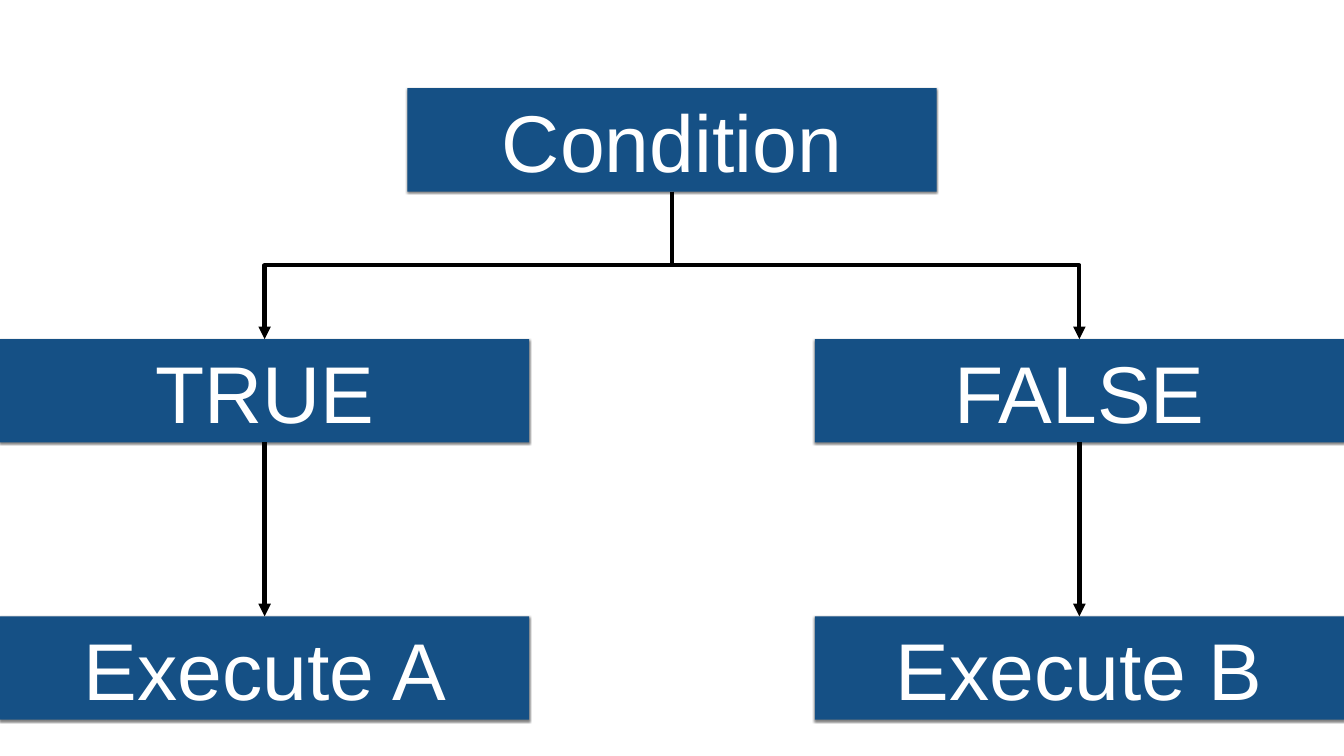
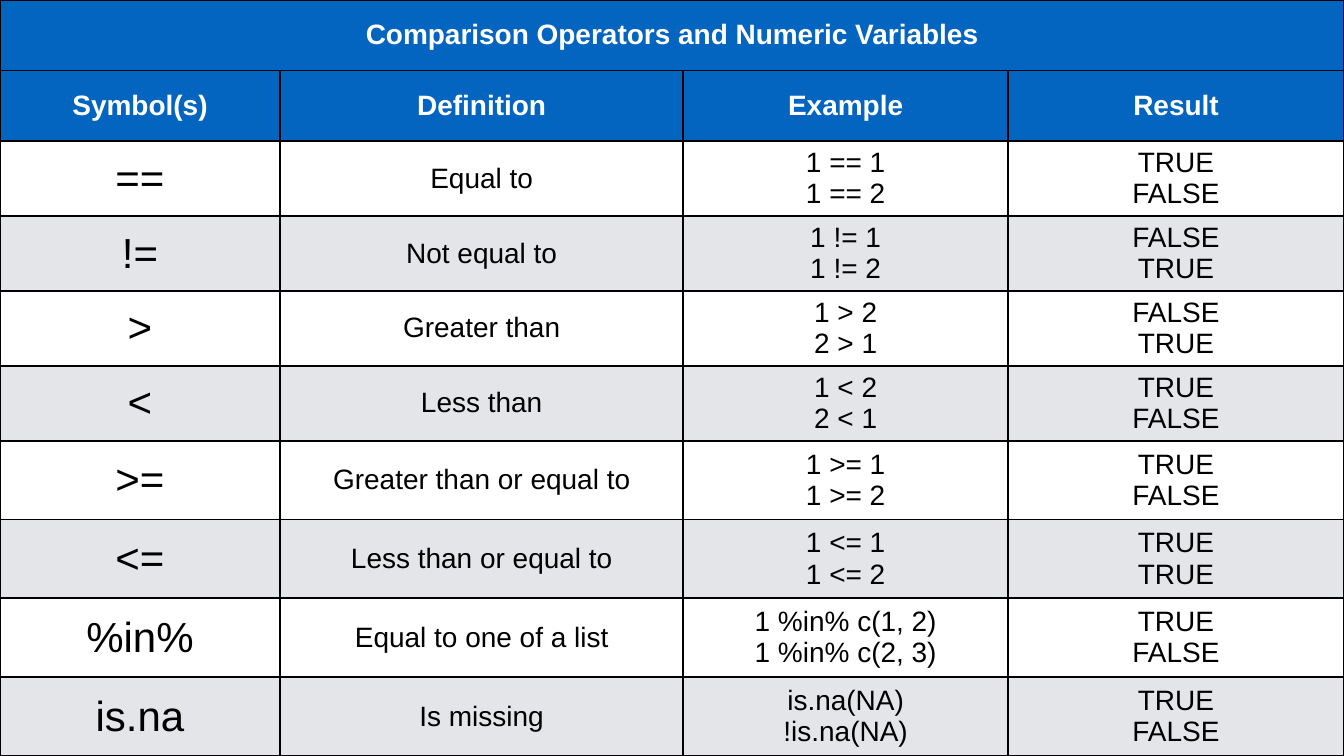
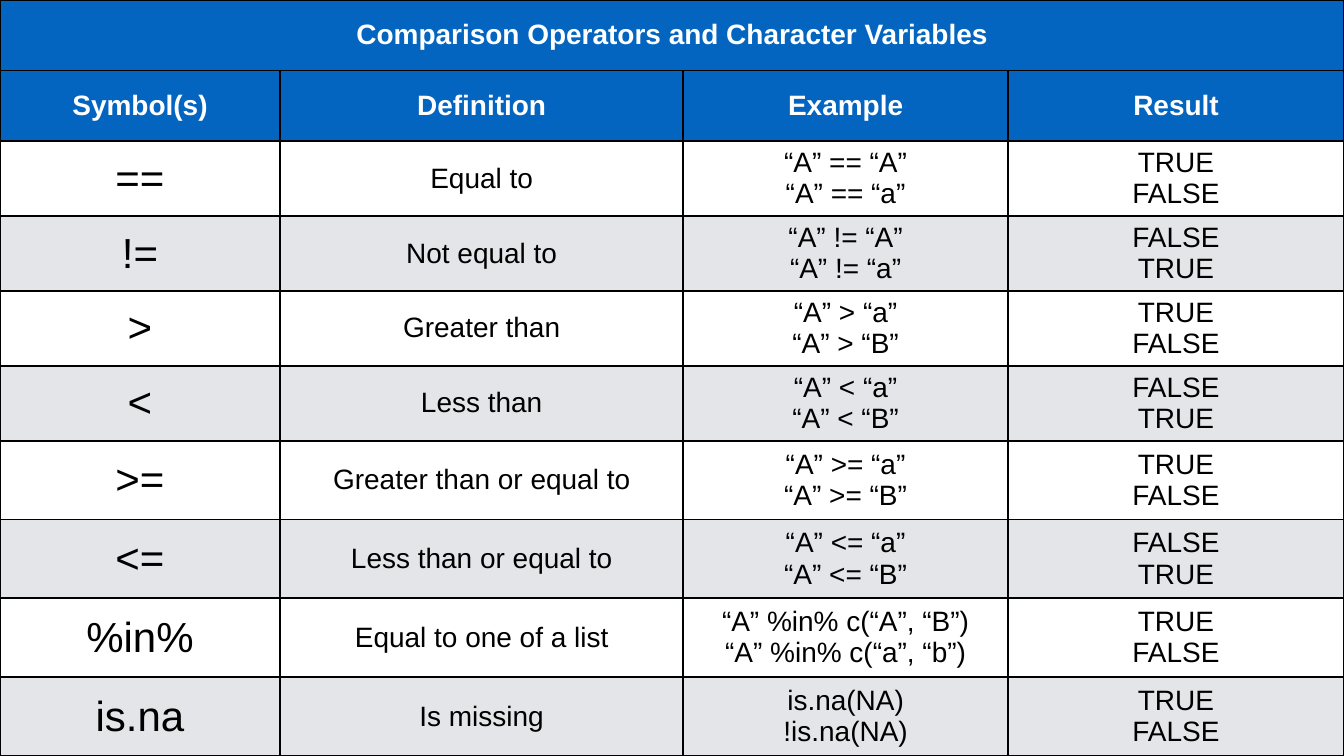
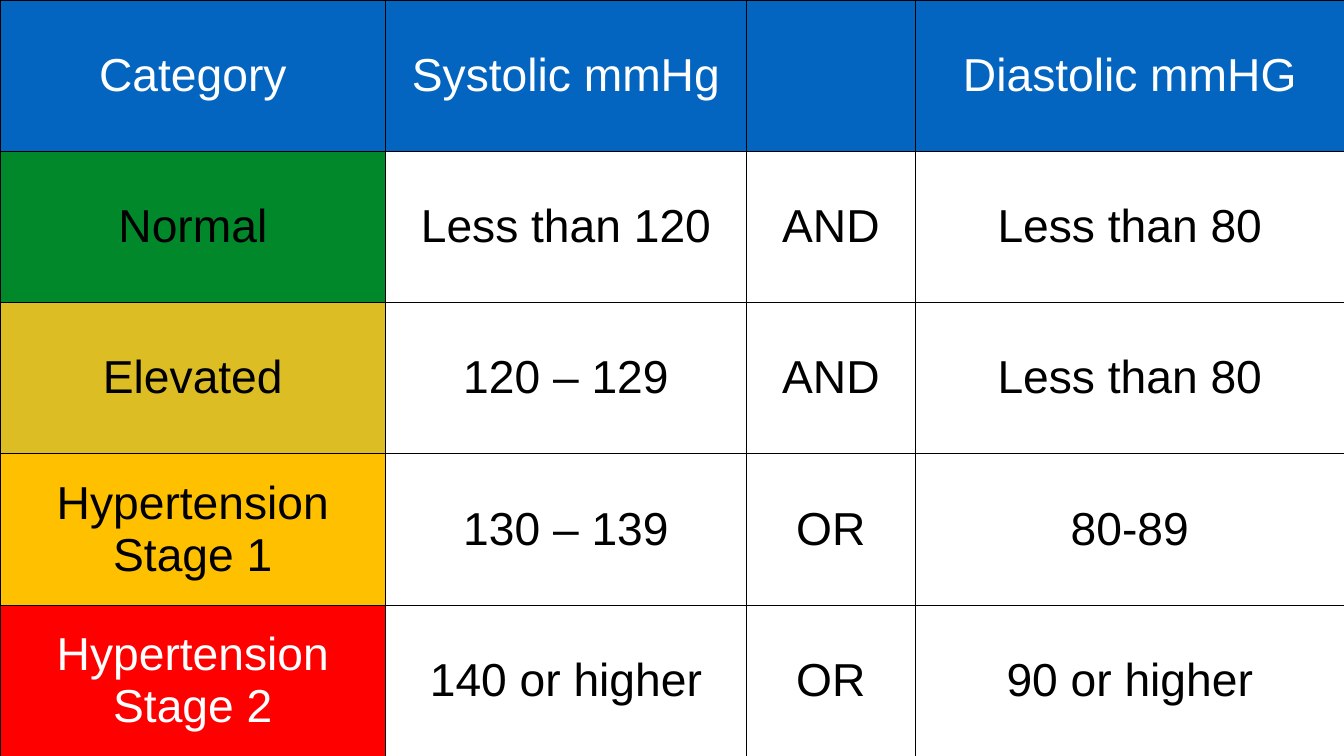
"""Build four slides on conditions, comparison operators and blood pressure categories."""
from lxml import etree
from pptx import Presentation
from pptx.dml.color import RGBColor
from pptx.enum import shapes, text
from pptx.oxml import ns
from pptx.util import Pt

FONT = "Arial"
BLACK = RGBColor(0x00, 0x00, 0x00)
WHITE = RGBColor(0xFF, 0xFF, 0xFF)
NAVY = RGBColor(0x15, 0x50, 0x85)
BLUE = RGBColor(0x03, 0x65, 0xC0)
GREY = RGBColor(0xE3, 0xE5, 0xE8)
GREEN = RGBColor(0x00, 0x88, 0x2B)
YELLOW = RGBColor(0xDC, 0xBD, 0x23)
AMBER = RGBColor(0xFF, 0xC0, 0x00)
RED = RGBColor(0xFF, 0x00, 0x00)

SLIDE_WIDTH, SLIDE_HEIGHT = 1920, 1080
BOX_WIDTH, BOX_HEIGHT = 756, 147.6
LEFT_CENTER, MIDDLE, RIGHT_CENTER = BOX_WIDTH / 2, SLIDE_WIDTH / 2, SLIDE_WIDTH - BOX_WIDTH / 2
CONDITION_TOP, OUTCOME_TOP, ACTION_TOP = 126, 484.5, 880.5
TIGHT_MARGIN = 4

FLOW_BOXES = [
    ("Condition", MIDDLE, CONDITION_TOP),
    ("TRUE", LEFT_CENTER, OUTCOME_TOP),
    ("FALSE", RIGHT_CENTER, OUTCOME_TOP),
    ("Execute A", LEFT_CENTER, ACTION_TOP),
    ("Execute B", RIGHT_CENTER, ACTION_TOP),
]

OPERATOR_HEADINGS = ("Symbol(s)", "Definition", "Example", "Result")
OPERATORS = [
    ("==", "Equal to"),
    ("!=", "Not equal to"),
    (">", "Greater than"),
    ("<", "Less than"),
    (">=", "Greater than or equal to"),
    ("<=", "Less than or equal to"),
    ("%in%", "Equal to one of a list"),
    ("is.na", "Is missing"),
]
OPERATOR_COLUMNS = (400, 576, 464, 480)
OPERATOR_ROWS = (100.8,) * 2 + (107,) * 4 + (112.6,) * 4
TRUE_FALSE, FALSE_TRUE, TRUE_TRUE = "TRUE\nFALSE", "FALSE\nTRUE", "TRUE\nTRUE"

NUMERIC_EXAMPLES = [
    ("1 == 1\n1 == 2", TRUE_FALSE),
    ("1 != 1\n1 != 2", FALSE_TRUE),
    ("1 > 2\n2 > 1", FALSE_TRUE),
    ("1 < 2\n2 < 1", TRUE_FALSE),
    ("1 >= 1\n1 >= 2", TRUE_FALSE),
    ("1 <= 1\n1 <= 2", TRUE_TRUE),
    ("1 %in% c(1, 2)\n1 %in% c(2, 3)", TRUE_FALSE),
    ("is.na(NA)\n!is.na(NA)", TRUE_FALSE),
]
CHARACTER_EXAMPLES = [
    ("“A” == “A”\n“A” == “a”", TRUE_FALSE),
    ("“A” != “A”\n“A” != “a”", FALSE_TRUE),
    ("“A” > “a”\n“A” > “B”", TRUE_FALSE),
    ("“A” < “a”\n“A” < “B”", FALSE_TRUE),
    ("“A” >= “a”\n“A” >= “B”", TRUE_FALSE),
    ("“A” <= “a”\n“A” <= “B”", FALSE_TRUE),
    ("“A” %in% c(“A”, “B”)\n“A” %in% c(“a”, “b”)", TRUE_FALSE),
    ("is.na(NA)\n!is.na(NA)", TRUE_FALSE),
]

PRESSURE_HEADINGS = ("Category", "Systolic mmHg", "", "Diastolic mmHG")
PRESSURE_LEVELS = [
    ("Normal", "Less than 120", "AND", "Less than 80"),
    ("Elevated", "120 – 129", "AND", "Less than 80"),
    ("Hypertension Stage 1", "130 – 139", "OR", "80-89"),
    ("Hypertension Stage 2", "140 or higher", "OR", "90 or higher"),
]
LEVEL_STYLES = [(GREEN, BLACK), (YELLOW, BLACK), (AMBER, BLACK), (RED, WHITE)]
PRESSURE_COLUMNS = (551, 515, 242, 612)
PRESSURE_ROWS = (SLIDE_HEIGHT / 5,) * 5


def child(parent, tag, **attributes):
    """Append a drawing element with the given attributes."""
    element = etree.SubElement(parent, ns.qn(tag))
    for name, value in attributes.items():
        element.set(name, str(value))
    return element


def write(frame, content, size, color, bold=False):
    """Fill a text frame with centred paragraphs in one style."""
    frame.text = content
    for paragraph in frame.paragraphs:
        paragraph.alignment = text.PP_ALIGN.CENTER
        for run in paragraph.runs:
            run.font.name, run.font.size, run.font.bold = FONT, Pt(size), bold
            run.font.color.rgb = color


def add_box(slide, label, center, top):
    """Add a shadowed flow box."""
    box = slide.shapes.add_shape(shapes.MSO_SHAPE.RECTANGLE, Pt(center - BOX_WIDTH / 2), Pt(top),
                                 Pt(BOX_WIDTH), Pt(BOX_HEIGHT))
    box.fill.solid()
    box.fill.fore_color.rgb = NAVY
    box.line.fill.background()
    box.shadow.inherit = False
    effects = box.element.spPr.find(ns.qn("a:effectLst"))
    shadow = child(effects, "a:outerShdw", blurRad=Pt(3), dist=Pt(2), dir=90 * 60000, rotWithShape=0)
    child(child(shadow, "a:srgbClr", val=BLACK), "a:alpha", val=50000)
    frame = box.text_frame
    frame.word_wrap = True
    frame.auto_size = text.MSO_AUTO_SIZE.SHAPE_TO_FIT_TEXT
    frame.vertical_anchor = text.MSO_ANCHOR.MIDDLE
    frame.margin_left = frame.margin_right = frame.margin_top = frame.margin_bottom = Pt(TIGHT_MARGIN)
    write(frame, label, 115, WHITE)


def add_arrow(slide, kind, start, end):
    """Add a black connector with an arrowhead at its end."""
    arrow = slide.shapes.add_connector(kind, *(Pt(value) for value in start + end))
    arrow.line.color.rgb = BLACK
    arrow.line.width = Pt(6)
    child(arrow.line._get_or_add_ln(), "a:tailEnd", type="triangle")
    child(arrow.element.spPr, "a:effectLst")
    return arrow


def add_branch(slide, start, end):
    """Add an elbow arrow that leaves downwards, as a turned horizontal elbow."""
    center_x, center_y = (start[0] + end[0]) / 2, (start[1] + end[1]) / 2
    half_run, half_drop = abs(end[0] - start[0]) / 2, (end[1] - start[1]) / 2
    side = 1 if end[0] > start[0] else -1
    arrow = add_arrow(slide, shapes.MSO_CONNECTOR.ELBOW,
                      (center_x + side * half_drop, center_y - half_run),
                      (center_x - side * half_drop, center_y + half_run))
    turn = 270 if side > 0 else 90
    arrow.element.spPr.find(ns.qn("a:xfrm")).set("rot", str(turn * 60000))


def add_flow(slide):
    """Draw the condition flow."""
    for label, center, top in FLOW_BOXES:
        add_box(slide, label, center, top)
    for center in (LEFT_CENTER, RIGHT_CENTER):
        add_branch(slide, (MIDDLE, CONDITION_TOP + BOX_HEIGHT), (center, OUTCOME_TOP))
    for center in (LEFT_CENTER, RIGHT_CENTER):
        add_arrow(slide, shapes.MSO_CONNECTOR.STRAIGHT, (center, OUTCOME_TOP + BOX_HEIGHT), (center, ACTION_TOP))


def add_grid(slide, columns, rows, border):
    """Add a full-slide table without style bands and with black borders."""
    table = slide.shapes.add_table(len(rows), len(columns), 0, 0, Pt(SLIDE_WIDTH), Pt(SLIDE_HEIGHT)).table
    table.first_row = table.horz_banding = False
    for column, width in zip(table.columns, columns):
        column.width = Pt(width)
    for row, height in zip(table.rows, rows):
        row.height = Pt(height)
    for cell in table.iter_cells():
        cell.vertical_anchor = text.MSO_ANCHOR.MIDDLE
        properties = cell._tc.get_or_add_tcPr()
        for edge in ("a:lnL", "a:lnR", "a:lnT", "a:lnB"):
            line = child(properties, edge, w=Pt(border))
            child(child(line, "a:solidFill"), "a:srgbClr", val=BLACK)
    return table


def fill_cell(cell, content, fill, size, color, bold=False):
    """Set the fill and text of a cell; no fill leaves it clear."""
    if fill is None:
        cell.fill.background()
    else:
        cell.fill.solid()
        cell.fill.fore_color.rgb = fill
    if content:
        write(cell.text_frame, content, size, color, bold)


def add_operator_table(slide, title, examples):
    """Add a titled table of the comparison operators."""
    table = add_grid(slide, OPERATOR_COLUMNS, OPERATOR_ROWS, 3)
    table.cell(0, 0).merge(table.cell(0, len(OPERATOR_COLUMNS) - 1))
    rows = [(title, "", "", ""), OPERATOR_HEADINGS]
    rows += [operator + example for operator, example in zip(OPERATORS, examples)]
    for row_index, row in enumerate(rows):
        heading = row_index < 2
        fill = BLUE if heading else (WHITE, GREY)[row_index % 2]
        for column_index, content in enumerate(row):
            cell = table.cell(row_index, column_index)
            cell.margin_left = cell.margin_right = cell.margin_top = cell.margin_bottom = Pt(TIGHT_MARGIN)
            size = 60 if column_index == 0 and not heading else 40
            fill_cell(cell, content, fill, size, WHITE if heading else BLACK, heading)


def add_pressure_table(slide):
    """Add the table of blood pressure categories."""
    table = add_grid(slide, PRESSURE_COLUMNS, PRESSURE_ROWS, 1)
    for column_index, heading in enumerate(PRESSURE_HEADINGS):
        fill_cell(table.cell(0, column_index), heading, BLUE, 66, WHITE)
    for row_index, (level, style) in enumerate(zip(PRESSURE_LEVELS, LEVEL_STYLES), 1):
        for column_index, content in enumerate(level):
            fill, color = style if column_index == 0 else (None, BLACK)
            fill_cell(table.cell(row_index, column_index), content, fill, 66, color)


def main():
    """Build and save the presentation."""
    presentation = Presentation()
    presentation.slide_width, presentation.slide_height = Pt(SLIDE_WIDTH), Pt(SLIDE_HEIGHT)
    blank = presentation.slide_layouts[6]
    flow, numeric, character, pressure = (presentation.slides.add_slide(blank) for _ in range(4))
    add_flow(flow)
    add_operator_table(numeric, "Comparison Operators and Numeric Variables", NUMERIC_EXAMPLES)
    add_operator_table(character, "Comparison Operators and Character Variables", CHARACTER_EXAMPLES)
    add_pressure_table(pressure)
    presentation.save("out.pptx")


if __name__ == "__main__":
    main()
